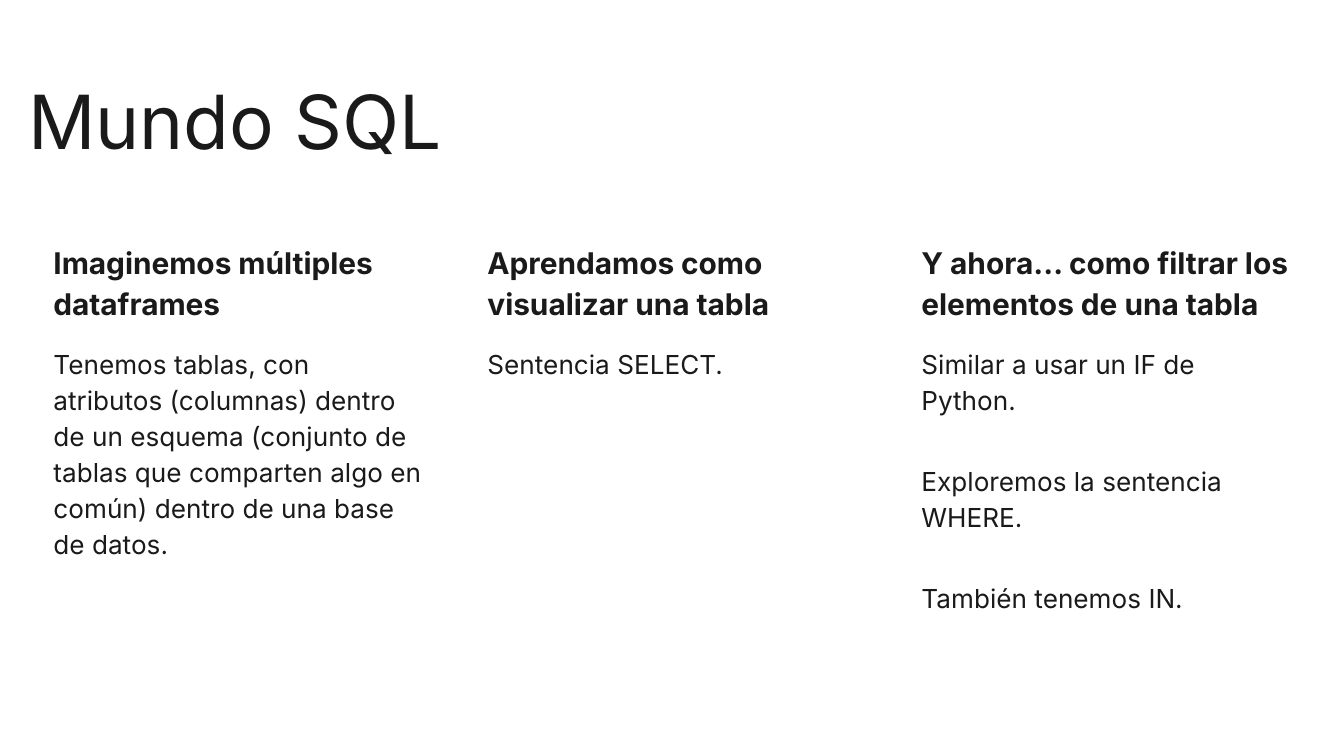
from dataclasses import dataclass

from pptx import Presentation
from pptx.dml.color import RGBColor
from pptx.enum import shapes, text
from pptx.util import Pt

COLORS = {"ink": "1A1A1A", "card": "FFFFFF"}
FONT = "Inter"
INSET = 7.2
CARD_LEFT, CARD_TOP = 18, 117.4
CARD_WIDTH, CARD_HEIGHT = 219, 269.3
CARD_PITCH = 232.5


@dataclass
class Card:
    heading: str
    body: tuple[str, ...]


CARDS = [
    Card(
        "Imaginemos múltiples dataframes",
        (
            "Tenemos tablas, con atributos (columnas) dentro de un esquema "
            "(conjunto de tablas que comparten algo en común) dentro de una "
            "base de datos.",
        ),
    ),
    Card("Aprendamos como visualizar una tabla", ("Sentencia SELECT.",)),
    Card(
        "Y ahora… como filtrar los elementos de una tabla",
        (
            "Similar a usar un IF de Python.",
            "Exploremos la sentencia WHERE.",
            "También tenemos IN.",
        ),
    ),
]


def set_frame(tf, bottom: float) -> None:
    tf.word_wrap = True
    tf.vertical_anchor = text.MSO_ANCHOR.TOP
    tf.margin_left = tf.margin_top = tf.margin_right = Pt(INSET)
    tf.margin_bottom = Pt(bottom)


def write(p, wording: str, size: float, bold: bool = False) -> None:
    p.text = wording
    p.alignment = text.PP_ALIGN.LEFT
    for r in p.runs:
        r.font.name = FONT
        r.font.size = Pt(size)
        r.font.bold = bold
        r.font.color.rgb = RGBColor.from_string(COLORS["ink"])


def add_title(s, wording: str) -> None:
    sp = s.shapes.add_textbox(Pt(8), Pt(33), Pt(671), Pt(63.4))
    set_frame(sp.text_frame, INSET)
    write(sp.text_frame.paragraphs[0], wording, 40)


def add_card(s, card: Card, left: float) -> None:
    sp = s.shapes.add_shape(
        shapes.MSO_SHAPE.ROUNDED_RECTANGLE,
        Pt(left), Pt(CARD_TOP), Pt(CARD_WIDTH), Pt(CARD_HEIGHT),
    )
    sp.adjustments[0] = 0.056
    sp.shadow.inherit = False
    sp.fill.solid()
    sp.fill.fore_color.rgb = RGBColor.from_string(COLORS["card"])
    sp.line.fill.background()
    tf = sp.text_frame
    set_frame(tf, 0)
    p = tf.paragraphs[0]
    p.line_spacing = 1.15
    write(p, card.heading, 16, bold=True)
    for wording in card.body:
        p = tf.add_paragraph()
        p.line_spacing = 1.15
        p.space_before = p.space_after = Pt(12)
        write(p, wording, 14)


def main() -> None:
    prs = Presentation()
    prs.slide_width, prs.slide_height = Pt(720), Pt(405)
    s = prs.slides.add_slide(prs.slide_layouts[6])
    add_title(s, "Mundo SQL")
    for i, card in enumerate(CARDS):
        add_card(s, card, CARD_LEFT + i * CARD_PITCH)
    prs.save("out.pptx")


if __name__ == "__main__":
    main()
